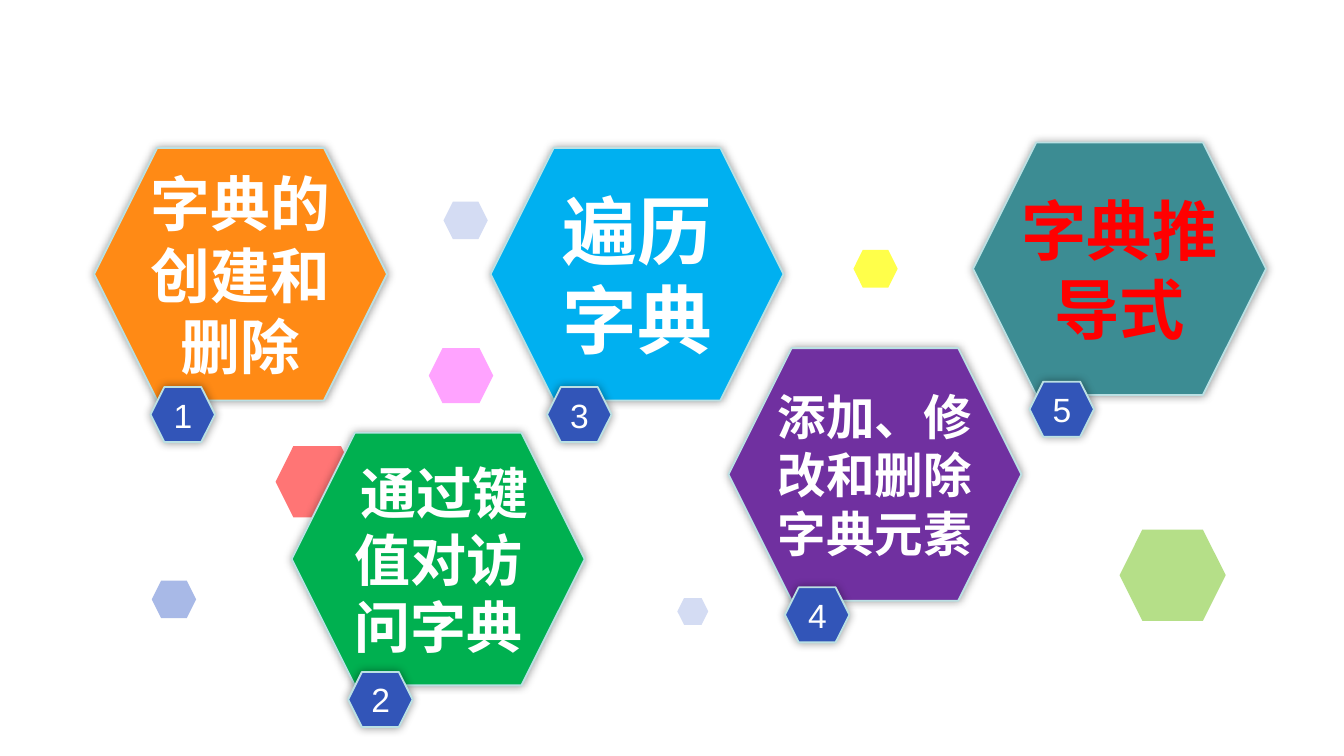
from lxml import etree
from pptx import Presentation
from pptx.dml.color import RGBColor
from pptx.enum import shapes, text
from pptx.oxml import ns
from pptx.util import Inches, Pt

HUES = {
    "orange": "FF8A15", "green": "00B050", "sky": "00B0F0",
    "purple": "7030A0", "teal": "3C8C93", "badge": "3255B8",
    "edge": "BBE0E3", "white": "FFFFFF", "red": "FF0000",
    "pink": "FF66FF", "yellow": "FFFF00", "lime": "92D050",
    "blue": "A8B9E7", "pale": "D4DCF3", "black": "000000",
}
SIZE = (2.18, 1.88)
BADGE = (0.42, 1.78, 0.48, 0.41)

# left, top, fill, words, points, ink
TOPICS = [
    (0.7, 1.1, "orange", "字典的创建和删除", 32, "white"),
    (2.17, 3.22, "green", " 通过键值对访问字典", 30, "white"),
    (3.65, 1.1, "sky", "遍历字典", 40, "white"),
    (5.42, 2.59, "purple", "添加、修改和删除字典元素", 26, "white"),
    (7.24, 1.06, "teal", "字典推导式", 35, "red"),
]
# left, top, width, height, fill, opacity in percent
DOTS = [
    (3.19, 2.59, 0.48, 0.41, "pink", 60),
    (2.05, 3.32, 0.62, 0.53, "red", 54),
    (1.13, 4.32, 0.33, 0.28, "blue", 100),
    (5.04, 4.45, 0.23, 0.2, "pale", 100),
    (3.3, 1.5, 0.33, 0.28, "pale", 100),
    (6.35, 1.86, 0.33, 0.28, "yellow", 71),
    (8.33, 3.94, 0.79, 0.68, "lime", 68),
]


def rgb(hue):
    return RGBColor.from_string(HUES[hue])


def add_hex(parent, box, hue):
    shape = parent.shapes.add_shape(
        shapes.MSO_SHAPE.HEXAGON, *[Inches(n) for n in box])
    shape.shadow.inherit = False
    shape.fill.solid()
    shape.fill.fore_color.rgb = rgb(hue)
    shape.line.fill.background()
    return shape


def set_alpha(color, share):
    etree.SubElement(color, ns.qn("a:alpha"), val=str(share * 1000))


def add_glow(shape):
    """Outline the hexagon and give it a soft shadow on all sides."""
    shape.line.color.rgb = rgb("edge")
    shape.line.width = Pt(1)
    effects = shape._element.spPr.find(ns.qn("a:effectLst"))
    shadow = etree.SubElement(effects, ns.qn("a:outerShdw"),
                              blurRad=str(Pt(5)), dist="0", rotWithShape="0")
    color = etree.SubElement(shadow, ns.qn("a:srgbClr"), val=HUES["black"])
    set_alpha(color, 40)


def write(shape, words, face, ink, **font):
    frame = shape.text_frame
    frame.word_wrap = True
    frame.vertical_anchor = text.MSO_ANCHOR.MIDDLE
    para = frame.paragraphs[0]
    para.alignment = text.PP_ALIGN.CENTER
    run = para.add_run()
    run.text = words
    for key, value in font.items():
        setattr(run.font, key, value)
    run.font.color.rgb = rgb(ink)
    run.font.name = face
    etree.SubElement(run.font._element, ns.qn("a:ea"), typeface=face)
    return para


def add_topic(slide, num, left, top, hue, words, size, ink):
    group = slide.shapes.add_group_shape()
    card = add_hex(group, (left, top, *SIZE), hue)
    add_glow(card)
    card.text_frame.margin_left = card.text_frame.margin_right = 0
    para = write(card, words, "Noto Sans CJK SC", ink,
                 size=Pt(size), bold=True)
    para.line_spacing = Pt(round(size * 1.2, 1))

    dx, dy, wide, high = BADGE
    badge = add_hex(group, (left + dx, top + dy, wide, high), "badge")
    add_glow(badge)
    write(badge, str(num), "Arial", "white", size=Pt(18))


def add_dot(slide, left, top, wide, high, hue, share):
    dot = add_hex(slide, (left, top, wide, high), hue)
    if share < 100:
        set_alpha(dot._element.spPr.find(".//" + ns.qn("a:srgbClr")), share)


def main():
    deck = Presentation()
    deck.slide_width = Inches(10)
    deck.slide_height = Inches(10 * 9 / 16)
    slide = deck.slides.add_slide(deck.slide_layouts[6])
    for dot in DOTS:
        add_dot(slide, *dot)
    for num, topic in enumerate(TOPICS, 1):
        add_topic(slide, num, *topic)
    deck.save("out.pptx")


if __name__ == "__main__":
    main()
